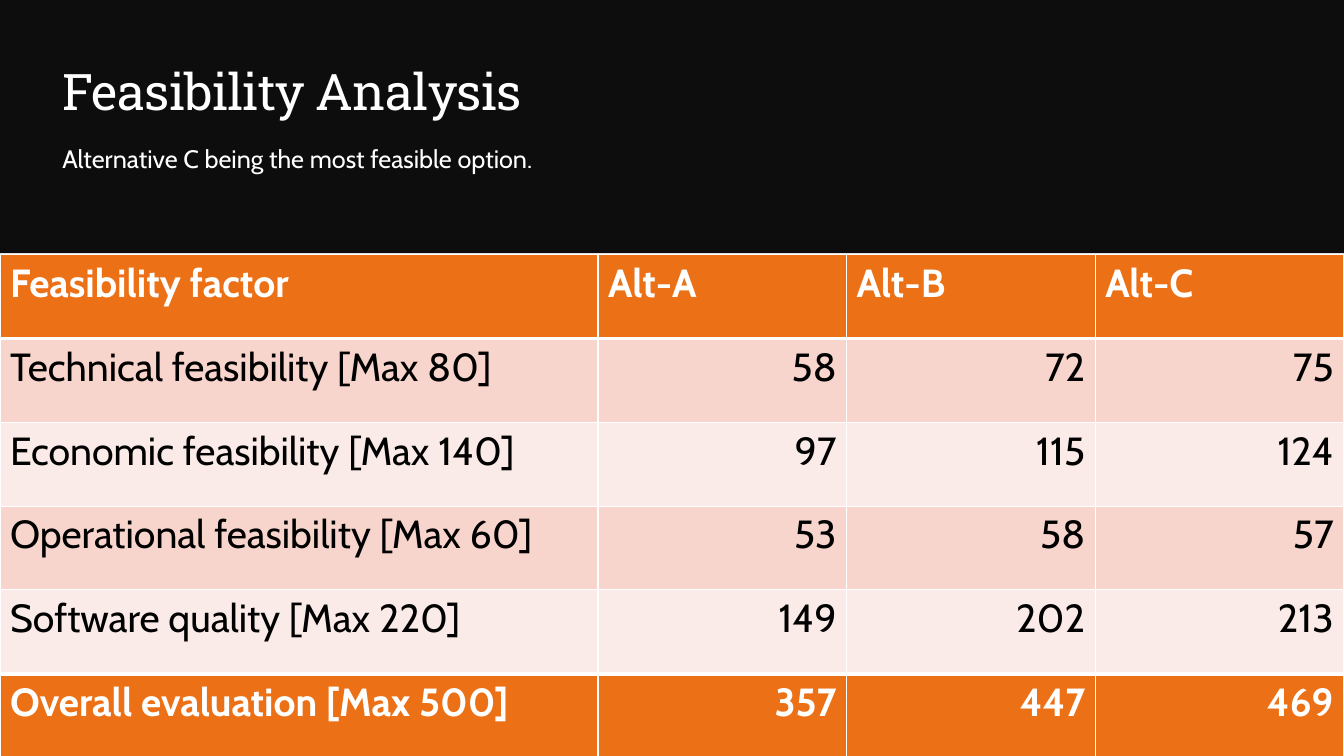
from dataclasses import dataclass

from lxml.etree import SubElement
from pptx import Presentation
from pptx.dml.color import RGBColor as Rgb
from pptx.enum.shapes import MSO_SHAPE as Shape
from pptx.enum.text import MSO_ANCHOR as Anchor, PP_ALIGN as Align
from pptx.oxml.ns import qn
from pptx.util import Inches, Pt


@dataclass(frozen=True)
class Theme:
    band: str = "0D0D0D"
    accent: str = "EC7016"
    stripes: tuple = ("FBEBE8", "F8D5CC")
    light: str = "FFFFFF"
    dark: str = "000000"
    heading_font: str = "Roboto Slab"
    body_font: str = "Cabin"
    title_size: int = 36
    subtitle_size: int = 18
    table_size: int = 28
    thin_rule: int = 1
    thick_rule: int = 3


def write_text(frame, text, *, font, size, color, bold=False, align=Align.LEFT,
               line_spacing=None, space_after=None, tracking=None):
    paragraph = frame.paragraphs[0]
    paragraph.alignment = align
    if line_spacing is not None:
        paragraph.line_spacing = line_spacing
    if space_after is not None:
        paragraph.space_after = Pt(space_after)
    run = paragraph.add_run()
    run.text = text
    run.font.name = font
    run.font.size = Pt(size)
    run.font.bold = bold
    run.font.color.rgb = Rgb.from_string(color)
    if tracking is not None:
        run._r.get_or_add_rPr().set("spc", str(int(tracking * 100)))


class SlideBuilder:
    WIDTH, HEIGHT = 13.33, 7.5

    def __init__(self, theme):
        self.theme = theme
        self.deck = Presentation()
        self.deck.slide_width = Inches(self.WIDTH)
        self.deck.slide_height = Inches(self.HEIGHT)
        self.slide = self.deck.slides.add_slide(self.deck.slide_layouts[6])

    def across(self, share):
        return Inches(self.WIDTH * share / 100)

    def down(self, share):
        return Inches(self.HEIGHT * share / 100)

    def area(self, left, top, width, height):
        return self.across(left), self.down(top), self.across(width), self.down(height)

    def band(self, *shares, color):
        band = self.slide.shapes.add_shape(Shape.RECTANGLE, *self.area(*shares))
        band.shadow.inherit = False
        band.fill.solid()
        band.fill.fore_color.rgb = Rgb.from_string(color)
        band.line.fill.background()

    def text(self, *shares, text, anchor=Anchor.TOP, **style):
        frame = self.slide.shapes.add_textbox(*self.area(*shares)).text_frame
        frame.word_wrap = True
        frame.vertical_anchor = anchor
        frame.margin_top = frame.margin_bottom = 0
        write_text(frame, text, color=self.theme.light, **style)

    def cell_borders(self, cell, top, bottom):
        properties = cell._tc.get_or_add_tcPr()
        thin = self.theme.thin_rule
        for side, width in (("L", thin), ("R", thin), ("T", top), ("B", bottom)):
            line = SubElement(properties, qn(f"a:ln{side}"), w=str(Pt(width)))
            fill = SubElement(line, qn("a:solidFill"))
            SubElement(fill, qn("a:srgbClr"), val=self.theme.light)

    def table(self, *shares, rows, column_shares):
        theme = self.theme
        left, top, width, height = self.area(*shares)
        table = self.slide.shapes.add_table(
            len(rows), len(column_shares), left, top, width, height).table
        for column, share in zip(table.columns, column_shares):
            column.width = self.across(share)
        last = len(rows) - 1
        for r, values in enumerate(rows):
            emphasized = r in (0, last)
            rule_above = theme.thick_rule if r in (1, last) else theme.thin_rule
            rule_below = theme.thick_rule if r in (0, last - 1) else theme.thin_rule
            for c, value in enumerate(values):
                cell = table.cell(r, c)
                self.cell_borders(cell, rule_above, rule_below)
                cell.fill.solid()
                cell.fill.fore_color.rgb = Rgb.from_string(
                    theme.accent if emphasized else theme.stripes[r % 2])
                write_text(cell.text_frame, str(value), font=theme.body_font,
                           size=theme.table_size, bold=emphasized,
                           color=theme.light if emphasized else theme.dark,
                           align=Align.RIGHT if r and c else Align.LEFT)

    def save(self):
        self.deck.save("out.pptx")


FEASIBILITY_SCORES = [
    ("Feasibility factor", "Alt-A", "Alt-B", "Alt-C"),
    ("Technical feasibility [Max 80]", 58, 72, 75),
    ("Economic feasibility [Max 140]", 97, 115, 124),
    ("Operational feasibility [Max 60]", 53, 58, 57),
    ("Software quality [Max 220]", 149, 202, 213),
    ("Overall evaluation [Max 500]", 357, 447, 469),
]


def main():
    theme = Theme()
    builder = SlideBuilder(theme)
    builder.table(0, 33.7, 100, 66.5, rows=FEASIBILITY_SCORES,
                  column_shares=(44.5, 18.5, 18.5, 18.5))
    builder.band(0, 0, 100, 33.5, color=theme.band)
    builder.text(3.9, 5.2, 37.6, 10.8, text="Feasibility Analysis",
                 anchor=Anchor.BOTTOM, font=theme.heading_font,
                 size=theme.title_size, line_spacing=0.9, tracking=-0.5)
    builder.text(3.9, 18.5, 37.6, 9,
                 text="Alternative C being the most feasible option.",
                 font=theme.body_font, size=theme.subtitle_size,
                 line_spacing=1.1, space_after=6)
    builder.save()


if __name__ == "__main__":
    main()
